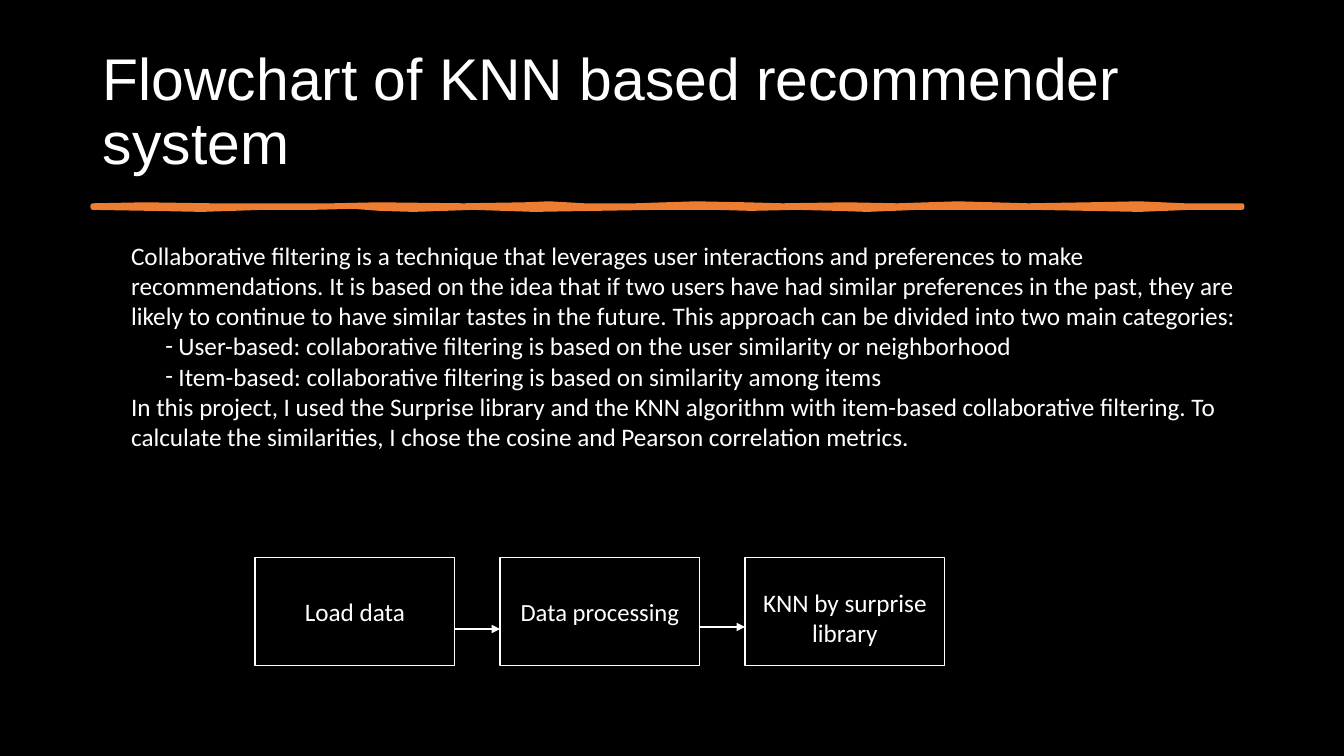
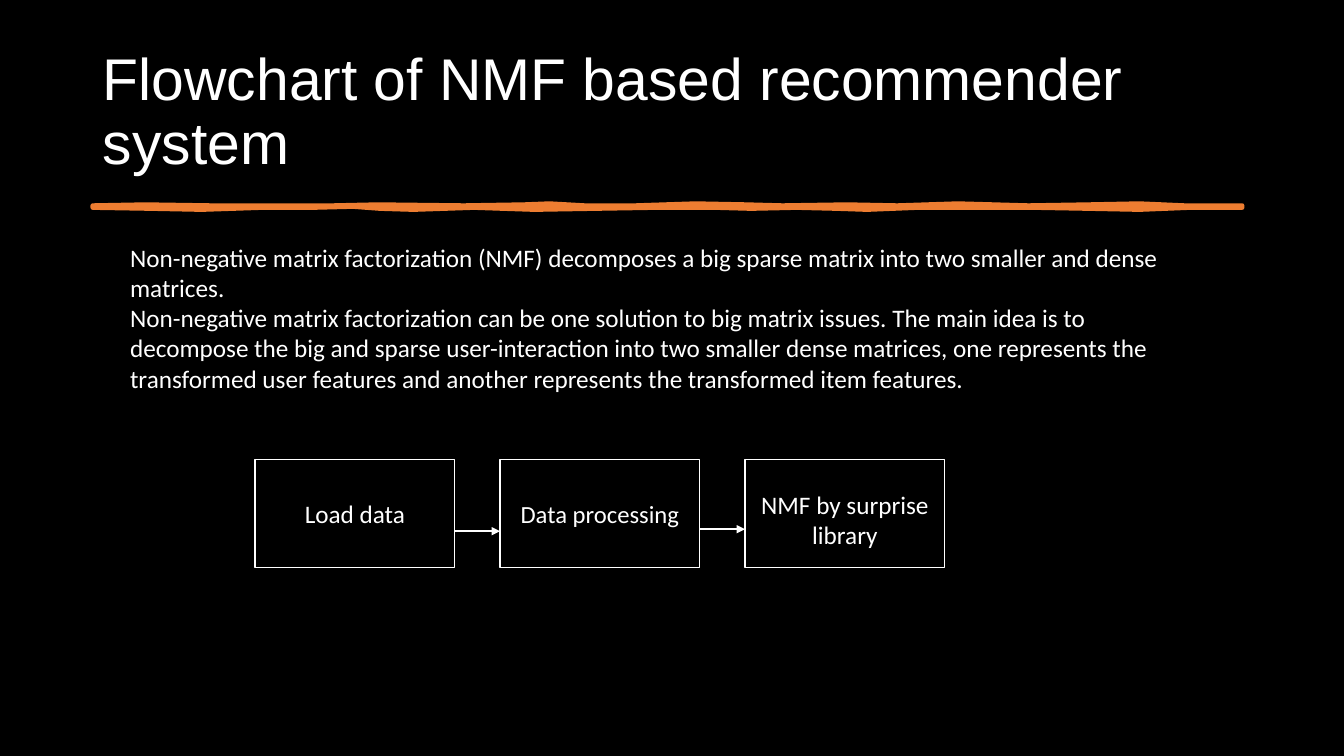
"""Builds two slides on KNN and NMF based recommender systems."""
import pptx
import pptx.dml.color
import pptx.enum.shapes
import pptx.enum.text
import pptx.oxml
import pptx.oxml.ns
import pptx.util
from lxml import etree

Inches = pptx.util.Inches
Pt = pptx.util.Pt
qn = pptx.oxml.ns.qn
COLORS = {
    name: pptx.dml.color.RGBColor.from_string(value)
    for name, value in {"background": "000000", "text": "FFFFFF", "accent": "ED7D31"}.items()
}

STROKE_TOP = [
    (0.92, 2.04), (1.44, 2.03), (2.1, 2.04), (2.4, 2.04), (3.3, 2.04), (3.75, 2.03),
    (4.6, 2.04), (5.2, 2.03), (5.45, 2.02), (5.8, 2.04), (6.3, 2.04), (6.9, 2.02),
    (7.4, 2.03), (7.76, 2.04), (8.4, 2.03), (8.9, 2.04), (9.5, 2.02), (10.2, 2.04),
    (10.8, 2.03), (11.3, 2.02), (11.75, 2.04), (12.32, 2.04),
]
STROKE_BOTTOM = [
    (12.32, 2.06), (11.8, 2.06), (11.3, 2.08), (10.8, 2.07), (10.26, 2.06), (9.8, 2.06),
    (9.1, 2.06), (8.6, 2.08), (8.3, 2.07), (7.9, 2.06), (7.45, 2.07), (7.1, 2.06),
    (6.5, 2.06), (5.9, 2.07), (5.3, 2.08), (4.7, 2.06), (4.1, 2.08), (3.77, 2.07),
    (3.5, 2.05), (3.1, 2.06), (2.6, 2.06), (2.0, 2.08), (1.5, 2.07), (0.92, 2.06),
]

BOX_LEFT, BOX_WIDTH, BOX_HEIGHT, BOX_GAP = 2.53, 1.98, 1.07, 0.45
ARROW_DROPS = [0.71, 0.69]

SLIDES = [
    {
        "method": "KNN",
        "body_box": (1.2, 2.33, 11.4, 2.83),
        "flow_top": 5.53,
        "body": [
            ("Collaborative filtering is a technique that leverages user interactions and "
             "preferences to make recommendations. It is based on the idea that if two users "
             "have had similar preferences in the past, they are likely to continue to have "
             "similar tastes in the future. This approach can be divided into two main "
             "categories:", False),
            ("User-based: collaborative filtering is based on the user similarity or "
             "neighborhood", True),
            ("Item-based: collaborative filtering is based on similarity among items", True),
            ("In this project, I used the Surprise library and the KNN algorithm with "
             "item-based collaborative filtering. To calculate the similarities, I chose the "
             "cosine and Pearson correlation metrics.", False),
        ],
    },
    {
        "method": "NMF",
        "body_box": (1.19, 2.35, 10.51, 1.62),
        "flow_top": 4.56,
        "body": [
            ("Non-negative matrix factorization (NMF) decomposes a big sparse matrix into two "
             "smaller and dense matrices.", False),
            ("Non-negative matrix factorization can be one solution to big matrix issues. The "
             "main idea is to decompose the big and sparse user-interaction into two smaller "
             "dense matrices, one represents the transformed user features and another "
             "represents the transformed item features.", False),
        ],
    },
]


def set_font(paragraph, name, size):
    paragraph.font.name = name
    paragraph.font.size = Pt(size)
    paragraph.font.color.rgb = COLORS["text"]


def place(shape, left, top, width, height):
    shape.left, shape.top = Inches(left), Inches(top)
    shape.width, shape.height = Inches(width), Inches(height)


prs = pptx.Presentation()
prs.slide_width, prs.slide_height = Inches(13.33), Inches(7.5)
background = prs.slide_master.background.fill
background.solid()
background.fore_color.rgb = COLORS["background"]
layout = prs.slide_layouts[1]
place(layout.placeholders[0], 0.92, 0.4, 11.5, 1.45)

for content in SLIDES:
    slide = prs.slides.add_slide(layout)

    title = slide.shapes.title.text_frame
    title.text = f"Flowchart of {content['method']} based recommender system"
    title.auto_size = pptx.enum.text.MSO_AUTO_SIZE.NONE
    title.vertical_anchor = pptx.enum.text.MSO_ANCHOR.MIDDLE
    heading = title.paragraphs[0]
    heading.alignment = pptx.enum.text.PP_ALIGN.LEFT
    heading.line_spacing = 0.9
    set_font(heading, "Arial", 42)

    outline = [(Inches(x), Inches(y)) for x, y in STROKE_TOP + STROKE_BOTTOM]
    builder = slide.shapes.build_freeform(*outline[0])
    builder.add_line_segments(outline[1:])
    stroke = builder.convert_to_shape()
    stroke.shadow.inherit = False
    stroke.fill.solid()
    stroke.fill.fore_color.rgb = COLORS["accent"]
    stroke.line.color.rgb = COLORS["accent"]
    stroke.line.width = Pt(3.25)
    etree.SubElement(stroke.line._get_or_add_ln(), qn("a:round"))

    body = slide.placeholders[1]
    place(body, *content["body_box"])
    explanation = body.text_frame
    explanation.auto_size = pptx.enum.text.MSO_AUTO_SIZE.NONE
    explanation.text = "\n".join(text for text, _ in content["body"])
    for paragraph, (_, is_category) in zip(explanation.paragraphs, content["body"]):
        set_font(paragraph, "Calibri", 18)
        paragraph.space_before = Pt(0)
        properties = paragraph._p.get_or_add_pPr()
        properties.set("marL", str(Inches(0.47 if is_category else 0)))
        properties.set("indent", str(Inches(-0.13 if is_category else 0)))
        if is_category:
            etree.SubElement(properties, qn("a:buFont"), typeface="Calibri")
            etree.SubElement(properties, qn("a:buChar"), char="-")
        else:
            etree.SubElement(properties, qn("a:buNone"))

    flow_top = content["flow_top"]
    steps = [("Load data", 18), ("Data processing", 17.6),
             (f"{content['method']} by surprise library", 18)]
    for index, (label, size) in enumerate(steps):
        left = BOX_LEFT + index * (BOX_WIDTH + BOX_GAP)
        step = slide.shapes.add_shape(
            pptx.enum.shapes.MSO_SHAPE.RECTANGLE,
            Inches(left), Inches(flow_top), Inches(BOX_WIDTH), Inches(BOX_HEIGHT))
        step.shadow.inherit = False
        step.fill.solid()
        step.fill.fore_color.rgb = COLORS["background"]
        step.line.color.rgb = COLORS["text"]
        step.line.width = Pt(1)
        caption = step.text_frame
        caption.text = label
        caption.word_wrap = True
        caption.vertical_anchor = pptx.enum.text.MSO_ANCHOR.MIDDLE
        caption.margin_top = Inches(0.17 if index == 2 else 0.05)
        caption.paragraphs[0].alignment = pptx.enum.text.PP_ALIGN.CENTER
        set_font(caption.paragraphs[0], "Calibri", size)

    for index, drop in enumerate(ARROW_DROPS):
        start = BOX_LEFT + BOX_WIDTH + index * (BOX_WIDTH + BOX_GAP)
        arrow = slide.shapes.add_connector(
            pptx.enum.shapes.MSO_CONNECTOR.STRAIGHT,
            Inches(start), Inches(flow_top + drop),
            Inches(start + BOX_GAP), Inches(flow_top + drop))
        arrow.line.color.rgb = COLORS["text"]
        arrow.line.width = Pt(1.25)
        etree.SubElement(arrow.line._get_or_add_ln(), qn("a:tailEnd"), type="triangle")
        etree.SubElement(arrow._element.spPr, qn("a:effectLst"))

prs.save("out.pptx")
